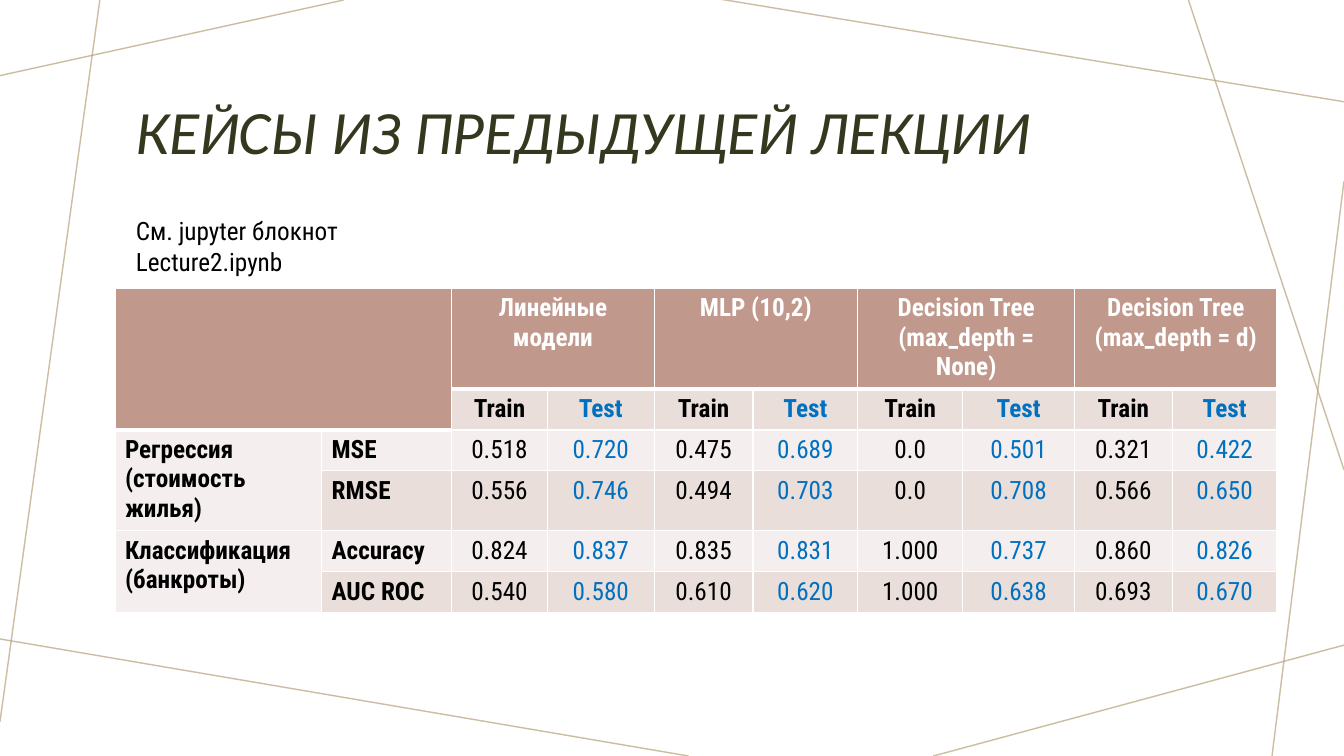
import pptx
import pptx.util
import pptx.dml.color
import pptx.enum.shapes
import pptx.enum.text
import pptx.oxml
import pptx.oxml.ns
from lxml import etree

Pt = pptx.util.Pt
Align = pptx.enum.text.PP_ALIGN
Anchor = pptx.enum.text.MSO_ANCHOR
qn = pptx.oxml.ns.qn

BLACK, WHITE, BLUE = "000000", "FFFFFF", "0070C0"
HEAD, DARK, PALE = "C1998C", "E9DEDA", "F4EFEE"

LINES = [
    (245.5, 0, 0, 54),
    (71.3, 0, 0, 515.5),
    (491.8, 540, -3.6, 455.8),
    (960, 460.8, 666.7, 540),
    (960, 129.6, 908.6, 540),
    (960, 335.5, 848.9, 0),
    (960, 72.7, 514.1, -0.7),
]
WIDTHS = [147.6, 92.9, 68.4, 76.3, 70.6, 74.9, 74.9, 79.9, 69.8, 74.9]
MODELS = ["Линейные модели", "MLP (10,2)",
          "Decision Tree (max_depth = None)", "Decision Tree (max_depth = d)"]
TASKS = ["Регрессия (стоимость жилья)", "Классификация (банкроты)"]
SCORES = [
    ("MSE", "0.518 0.720 0.475 0.689 0.0 0.501 0.321 0.422"),
    ("RMSE", "0.556 0.746 0.494 0.703 0.0 0.708 0.566 0.650"),
    ("Accuracy", "0.824 0.837 0.835 0.831 1.000 0.737 0.860 0.826"),
    ("AUC ROC", "0.540 0.580 0.610 0.620 1.000 0.638 0.693 0.670"),
]


def color(code):
    return pptx.dml.color.RGBColor.from_string(code)


class Deck:
    font = "Roboto Condensed"
    size = 18
    rule = "B5A17B"

    def __init__(self):
        self.file = pptx.Presentation()
        self.file.slide_width = Pt(960)
        self.file.slide_height = Pt(540)
        self.slide = self.file.slides.add_slide(self.file.slide_layouts[6])

    def line(self, x1, y1, x2, y2):
        kind = pptx.enum.shapes.MSO_CONNECTOR.STRAIGHT
        line = self.slide.shapes.add_connector(kind, Pt(x1), Pt(y1), Pt(x2), Pt(y2))
        line.line.width = Pt(1)
        line.line.color.rgb = color(self.rule)
        props = line._element.spPr
        tint = props.find(".//" + qn("a:srgbClr"))
        etree.SubElement(tint, qn("a:alpha"), val="70000")
        etree.SubElement(props, qn("a:effectLst"))

    def fill_text(self, frame, text, tone, size=None, font=None, bold=False,
                  slant=False, align=Align.LEFT):
        frame.text = text
        para = frame.paragraphs[0]
        para.alignment = align
        style = para.runs[0].font
        style.name = font or self.font
        style.size = Pt(size or self.size)
        style.bold = bold
        style.italic = slant
        style.color.rgb = color(tone)
        return para

    def text(self, x, y, w, h, text, tone, anchor=Anchor.TOP, **style):
        box = self.slide.shapes.add_textbox(Pt(x), Pt(y), Pt(w), Pt(h))
        frame = box.text_frame
        frame.word_wrap = True
        frame.vertical_anchor = anchor
        return self.fill_text(frame, text, tone, **style)

    def grid(self, x, y, widths, rows, high):
        shape = self.slide.shapes.add_table(
            rows, len(widths), Pt(x), Pt(y), Pt(sum(widths)), Pt(rows * high))
        table = shape.table
        table.first_row = table.horz_banding = False
        for col, wide in zip(table.columns, widths):
            col.width = Pt(wide)
        for row in table.rows:
            row.height = Pt(high)
        return table

    def cell(self, cell, fill, top=1, bottom=1):
        props = cell._tc.get_or_add_tcPr()
        for side, wide in zip("LRTB", (1, 1, top, bottom)):
            edge = etree.SubElement(props, qn("a:ln" + side), w=str(Pt(wide)))
            paint = etree.SubElement(edge, qn("a:solidFill"))
            etree.SubElement(paint, qn("a:srgbClr"), val=WHITE)
        cell.fill.solid()
        cell.fill.fore_color.rgb = color(fill)


def shade(row, col):
    if row == 0 or (row == 1 and col < 2):
        return HEAD
    if row % 2 and col:
        return DARK
    return PALE


def results(deck):
    table = deck.grid(82.1, 205.9, WIDTHS, 6, 29.2)
    for row in range(6):
        for col in range(len(WIDTHS)):
            fill = shade(row, col)
            under = row > 0 and fill != HEAD and shade(row - 1, col) == HEAD
            deck.cell(table.cell(row, col), fill,
                      3 if under else 1, 3 if fill == HEAD else 1)

    def put(row, col, text, tone, **style):
        deck.fill_text(table.cell(row, col).text_frame, text, tone, **style)

    table.cell(0, 0).merge(table.cell(1, 1))
    for i, model in enumerate(MODELS):
        col = 2 + 2 * i
        table.cell(0, col).merge(table.cell(0, col + 1))
        put(0, col, model, WHITE, bold=True, align=Align.CENTER)
        put(1, col, "Train", BLACK, bold=True, align=Align.CENTER)
        put(1, col + 1, "Test", BLUE, bold=True, align=Align.CENTER)
    for i, task in enumerate(TASKS):
        row = 2 + 2 * i
        table.cell(row, 0).merge(table.cell(row + 1, 0))
        put(row, 0, task, BLACK, bold=True)
    for row, (name, values) in enumerate(SCORES, 2):
        put(row, 1, name, BLACK, bold=True)
        for col, value in enumerate(values.split(), 2):
            put(row, col, value, BLUE if col % 2 else BLACK, align=Align.CENTER)


def main():
    deck = Deck()
    for ends in LINES:
        deck.line(*ends)
    title = deck.text(90, 41.8, 779.8, 108.7, "КЕЙСЫ ИЗ ПРЕДЫДУЩЕЙ ЛЕКЦИИ", "35371F",
                      anchor=Anchor.MIDDLE, size=44, font="Calibri", slant=True)
    title.line_spacing = 0.9
    results(deck)
    deck.text(90, 150.5, 246.2, 28.8, "См. jupyter блокнот Lecture2.ipynb", BLACK)
    deck.file.save("out.pptx")


if __name__ == "__main__":
    main()
